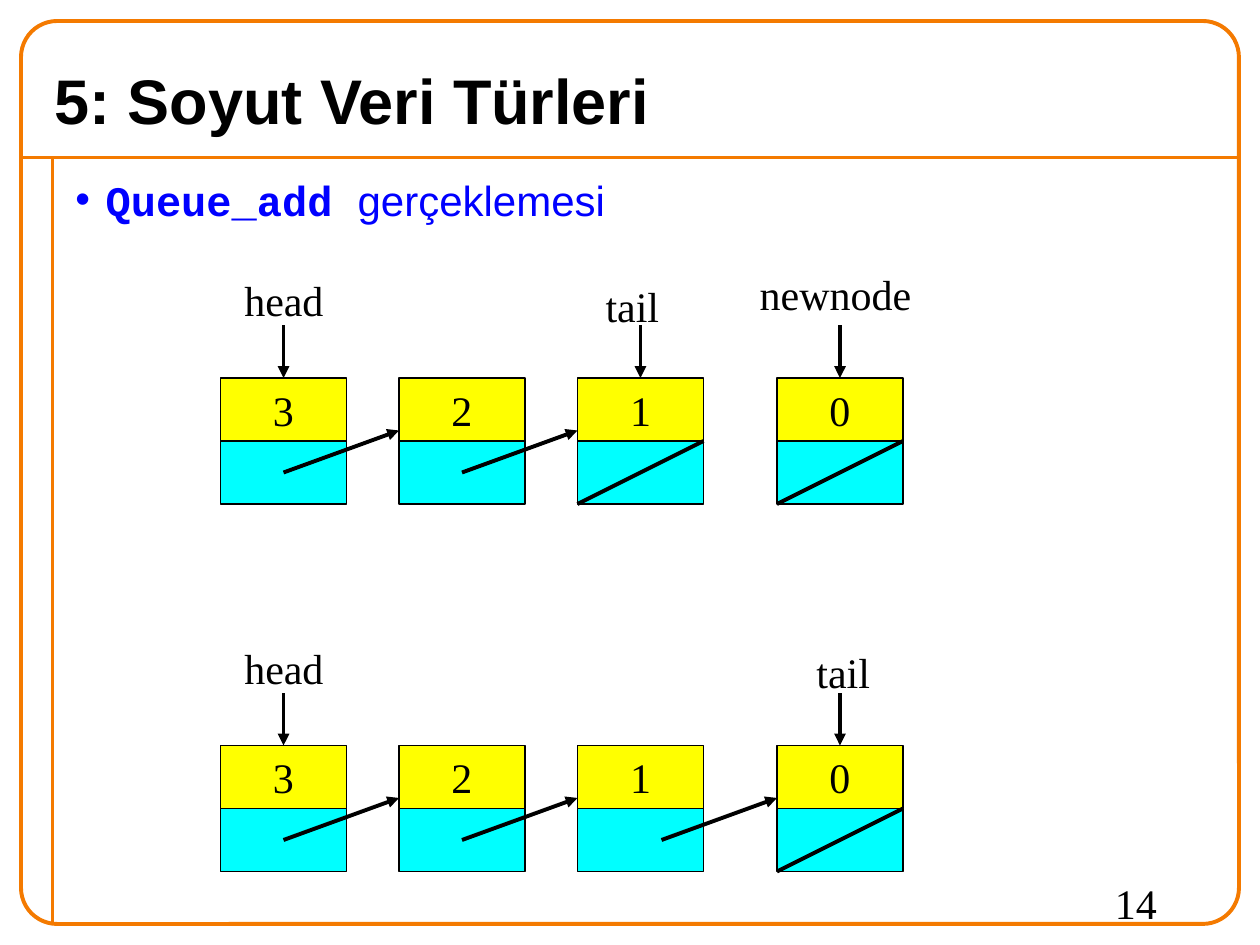
import pptx
import pptx.dml.color
import pptx.enum.shapes
import pptx.enum.text
import pptx.oxml.ns
import pptx.util
from lxml import etree

Pt = pptx.util.Pt
RGBColor = pptx.dml.color.RGBColor
qn = pptx.oxml.ns.qn
SHAPES = pptx.enum.shapes.MSO_SHAPE
ALIGN = pptx.enum.text.PP_ALIGN
ANCHOR = pptx.enum.text.MSO_ANCHOR

colors = {
    "frame": "F47A00",
    "value": "FFFF00",
    "link": "00FFFF",
    "ink": "000000",
    "bullet": "0000FF",
}


def add_line(x1, y1, x2, y2, color="ink", arrow=False):
    line = slide.shapes.add_connector(
        pptx.enum.shapes.MSO_CONNECTOR.STRAIGHT, Pt(x1), Pt(y1), Pt(x2), Pt(y2))
    line.line.color.rgb = RGBColor.from_string(colors[color])
    line.line.width = Pt(2.25)
    properties = line._element.spPr
    if arrow:
        etree.SubElement(properties.find(qn("a:ln")), qn("a:tailEnd"), type="triangle")
    etree.SubElement(properties, qn("a:effectLst"))
    return line


def add_text(x, y, width, height, text, size=24, font="Times New Roman", wrap=False):
    box = slide.shapes.add_textbox(Pt(x), Pt(y), Pt(width), Pt(height))
    box.text_frame.word_wrap = wrap
    paragraph = box.text_frame.paragraphs[0]
    paragraph.text = text
    paragraph.font.size = Pt(size)
    for run in paragraph.runs:
        run.font.size = Pt(size)
        run.font.name = font
        run.font.color.rgb = RGBColor.from_string(colors["ink"])
    return box


presentation = pptx.Presentation()
presentation.slide_width = Pt(720)
presentation.slide_height = Pt(540)
slide = presentation.slides.add_slide(presentation.slide_layouts[6])

add_line(12, 90, 708, 90, "frame")
add_line(30, 90, 30, 528, "frame")
frame = slide.shapes.add_shape(SHAPES.ROUNDED_RECTANGLE, Pt(12), Pt(12), Pt(696), Pt(516))
frame.adjustments[0] = 0.04
frame.shadow.inherit = False
frame.fill.background()
frame.line.color.rgb = RGBColor.from_string(colors["frame"])
frame.line.width = Pt(2.25)

title = add_text(24, 30, 672, 54, "5: Soyut Veri Türleri", 36, "Arial", True)
title.text_frame.vertical_anchor = ANCHOR.MIDDLE
title.text_frame.paragraphs[0].runs[0].font.bold = True

body = add_text(36, 96, 666, 432, "Queue_add ", 24, "Courier New", True)
paragraph = body.text_frame.paragraphs[0]
paragraph.space_before = Pt(15)
code_run = paragraph.runs[0]
code_run.font.bold = True
plain_run = paragraph.add_run()
plain_run.text = "gerçeklemesi"
plain_run.font.name = "Arial"
plain_run.font.size = Pt(24)
for run in (code_run, plain_run):
    run.font.color.rgb = RGBColor.from_string(colors["bullet"])
bullet = paragraph._p.get_or_add_pPr()
bullet.set("marL", str(Pt(17.25)))
bullet.set("indent", str(-Pt(17.25)))
bullet_color = etree.SubElement(bullet, qn("a:buClr"))
etree.SubElement(bullet_color, qn("a:srgbClr"), val=colors["bullet"])
etree.SubElement(bullet, qn("a:buFont"), typeface="Arial")
etree.SubElement(bullet, qn("a:buChar"), char="•")

columns = [126, 228, 330, 444]
values = ["3", "2", "1", "0"]
node_width, cell_height = 72, 36

queues = [
    {"top": 216, "links": {0: 36, 1: 36}, "ends": [2, 3],
     "labels": [("head", 0, 132.5, 153.5, 60), ("tail", 2, 339, 156.5, 45),
                ("newnode", 3, 427, 150, 101)]},
    {"top": 426, "links": {0: 36, 1: 36, 2: 48}, "ends": [3],
     "labels": [("head", 0, 132.5, 363.5, 60), ("tail", 3, 459.5, 366, 45)]},
]

for queue in queues:
    top = queue["top"]
    middle = top + cell_height
    value_cells = []
    for left, value in zip(columns, values):
        node = slide.shapes.add_group_shape()
        for part, y in (("link", middle), ("value", top)):
            cell = node.shapes.add_shape(
                SHAPES.RECTANGLE, Pt(left), Pt(y), Pt(node_width), Pt(cell_height))
            cell.shadow.inherit = False
            cell.fill.solid()
            cell.fill.fore_color.rgb = RGBColor.from_string(colors[part])
            cell.line.color.rgb = RGBColor.from_string(colors["ink"])
            cell.line.width = Pt(0.75)
        cell.text_frame.text = value
        cell.text_frame.word_wrap = False
        cell.text_frame.vertical_anchor = ANCHOR.MIDDLE
        paragraph = cell.text_frame.paragraphs[0]
        paragraph.alignment = ALIGN.CENTER
        font = paragraph.runs[0].font
        font.size = Pt(24)
        font.name = "Times New Roman"
        font.color.rgb = RGBColor.from_string(colors["ink"])
        value_cells.append(cell)

    for column, offset in queue["links"].items():
        add_line(columns[column] + offset, middle + 18, columns[column + 1], top + 30, arrow=True)
    for column in queue["ends"]:
        left = columns[column]
        add_line(left + node_width, middle, left, middle + cell_height)
    for label, column, x, y, width in queue["labels"]:
        center = columns[column] + node_width / 2
        pointer = add_line(center, top - 30, center, top, arrow=True)
        pointer.end_connect(value_cells[column], 0)
        add_text(x, y, width, 36, label)

add_text(630, 498, 72, 36, "14", wrap=True)

presentation.save("out.pptx")
